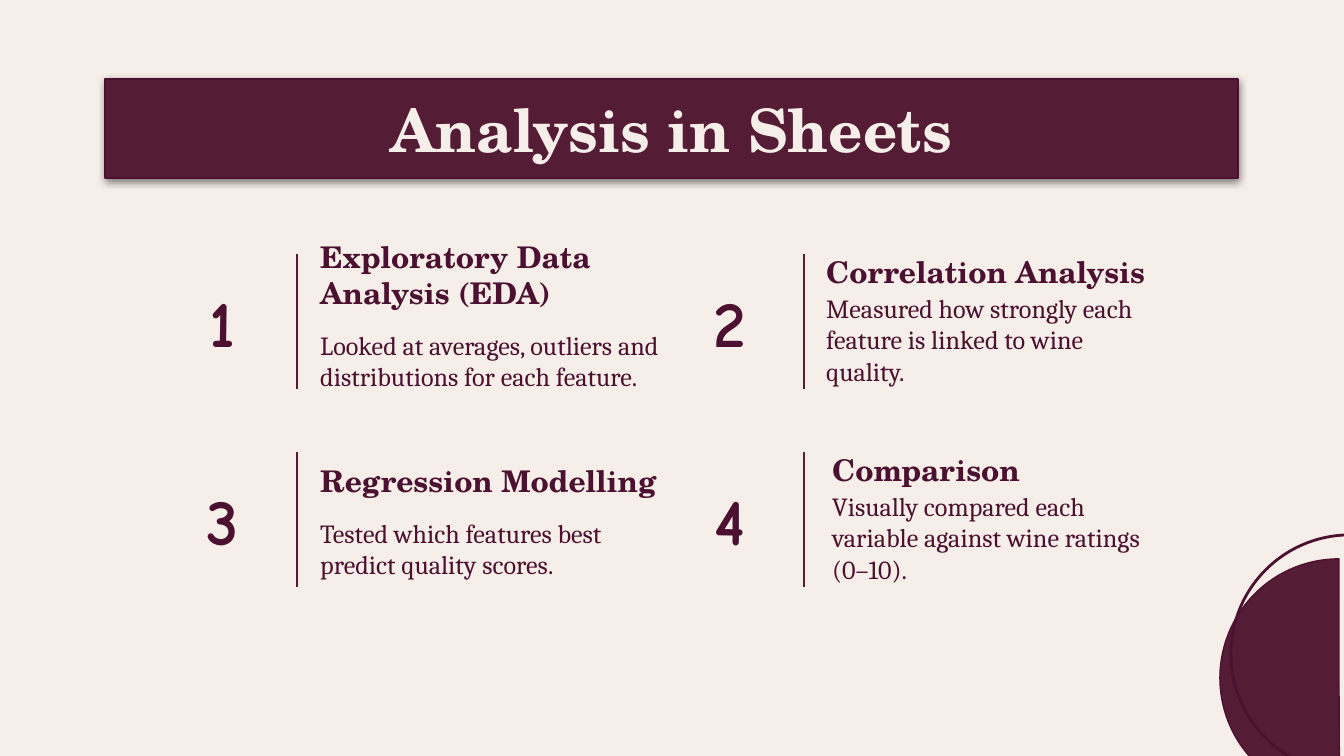
from dataclasses import dataclass

from lxml import etree
from pptx import Presentation
from pptx import util as u
from pptx.dml.color import RGBColor
from pptx.enum import shapes, text
from pptx.oxml import ns

EMU_PER_PX = 914400 / 134.4


@dataclass(frozen=True)
class Theme:
    cream: str = "F6EEE8"
    wine: str = "551C36"
    plum: str = "4C1130"
    heading_font: str = "TeX Gyre Schola"
    body_font: str = "Cambria"
    number_font: str = "Comic Neue"
    title_size: int = 32
    number_size: int = 35
    heading_size: int = 16
    body_size: int = 14


THEME = Theme()

# Number, heading, body, then px offsets from the card's corner:
# text left, heading top, body top
STEPS = [
    ("1", "Exploratory Data Analysis (EDA)",
     "Looked at averages, outliers and distributions for each feature.", 150, -7, 67),
    ("2", "Correlation Analysis",
     "Measured how strongly each feature is linked to wine quality.", 149, -10, 46),
    ("3", "Regression Modelling",
     "Tested which features best predict quality scores.", 150, 1, 57),
    ("4", "Comparison",
     "Visually compared each variable against wine ratings (0–10).", 155, -10, 46),
]
CARD_LEFT, CARD_TOP, CARD_HEIGHT = 157, 254, 135
COLUMN_PITCH, ROW_PITCH = 507, 198
NUMBER_WIDTH, RULE_OFFSET, TEXT_WIDTH = 131, 140, 367
HEADING_HEIGHT, BODY_HEIGHT = 56, 79


def px(value):
    return u.Emu(round(value * EMU_PER_PX))


def color(value):
    return RGBColor.from_string(value)


def set_text(shape, words, font, size, ink, bold=True, centered=False):
    frame = shape.text_frame
    frame.text = words
    frame.word_wrap = True
    frame.vertical_anchor = text.MSO_ANCHOR.MIDDLE
    frame.margin_left = frame.margin_right = u.Inches(0.1)
    frame.margin_top = frame.margin_bottom = u.Inches(0.1)
    paragraph = frame.paragraphs[0]
    paragraph.alignment = text.PP_ALIGN.CENTER if centered else text.PP_ALIGN.LEFT
    run_font = paragraph.runs[0].font
    run_font.name, run_font.size, run_font.bold = font, u.Pt(size), bold
    run_font.color.rgb = color(ink)


def add_label(slide, box, words, font, size, **style):
    shape = slide.shapes.add_textbox(*map(px, box))
    set_text(shape, words, font, size, THEME.plum, **style)


def add_panel(slide, preset, box, fill, line_width):
    shape = slide.shapes.add_shape(preset, *map(px, box))
    shape.shadow.inherit = False
    if fill:
        shape.fill.solid()
        shape.fill.fore_color.rgb = color(fill)
    else:
        shape.fill.background()
    shape.line.color.rgb = color(THEME.plum)
    shape.line.width = u.Pt(line_width)
    return shape


def add_half_circle(slide, left, top, fill, line_width):
    shape = add_panel(slide, shapes.MSO_SHAPE.PIE, (left, top, 238, 238), fill, line_width)
    shape.adjustments[0] = 53.817
    shape.adjustments[1] = 162


def add_rule(slide, left, top, height):
    rule = slide.shapes.add_connector(
        shapes.MSO_CONNECTOR.STRAIGHT, px(left), px(top), px(left), px(top + height))
    rule.line.color.rgb = color(THEME.wine)
    rule.line.width = u.Pt(1.5)
    etree.SubElement(rule._element.spPr, ns.qn("a:effectLst"))


def add_drop_shadow(shape):
    effects = shape._element.spPr.find(ns.qn("a:effectLst"))
    shadow = etree.SubElement(
        effects, ns.qn("a:outerShdw"), blurRad=str(u.Pt(4.5)), dist=str(u.Pt(1.5)),
        dir="5400000", algn="bl", rotWithShape="0")
    tint = etree.SubElement(shadow, ns.qn("a:srgbClr"), val="000000")
    etree.SubElement(tint, ns.qn("a:alpha"), val="50000")


def add_title(slide, words):
    banner = add_panel(slide, shapes.MSO_SHAPE.RECTANGLE, (105, 79, 1133, 99), THEME.wine, 0.75)
    add_drop_shadow(banner)
    set_text(banner, words, THEME.heading_font, THEME.title_size, THEME.cream, centered=True)


def add_step(slide, left, top, step):
    number, heading, body, text_offset, heading_offset, body_offset = step
    text_left = left + text_offset
    add_label(slide, (left, top, NUMBER_WIDTH, CARD_HEIGHT), number,
              THEME.number_font, THEME.number_size, centered=True)
    add_rule(slide, left + RULE_OFFSET, top, CARD_HEIGHT)
    add_label(slide, (text_left, top + heading_offset, TEXT_WIDTH, HEADING_HEIGHT), heading,
              THEME.heading_font, THEME.heading_size)
    add_label(slide, (text_left, top + body_offset, TEXT_WIDTH, BODY_HEIGHT), body,
              THEME.body_font, THEME.body_size, bold=False)


def main():
    presentation = Presentation()
    presentation.slide_width, presentation.slide_height = px(1344), px(756)
    slide = presentation.slides.add_slide(presentation.slide_layouts[6])
    slide.background.fill.solid()
    slide.background.fill.fore_color.rgb = color(THEME.cream)

    # Corner decoration
    add_half_circle(slide, 1220, 559, THEME.wine, 0.75)
    add_half_circle(slide, 1231, 535, None, 1.5)

    # Title banner
    add_title(slide, "Analysis in Sheets")

    # Two-by-two grid of analysis steps
    for index, step in enumerate(STEPS):
        row, column = divmod(index, 2)
        add_step(slide, CARD_LEFT + column * COLUMN_PITCH, CARD_TOP + row * ROW_PITCH, step)

    presentation.save("out.pptx")


if __name__ == "__main__":
    main()
